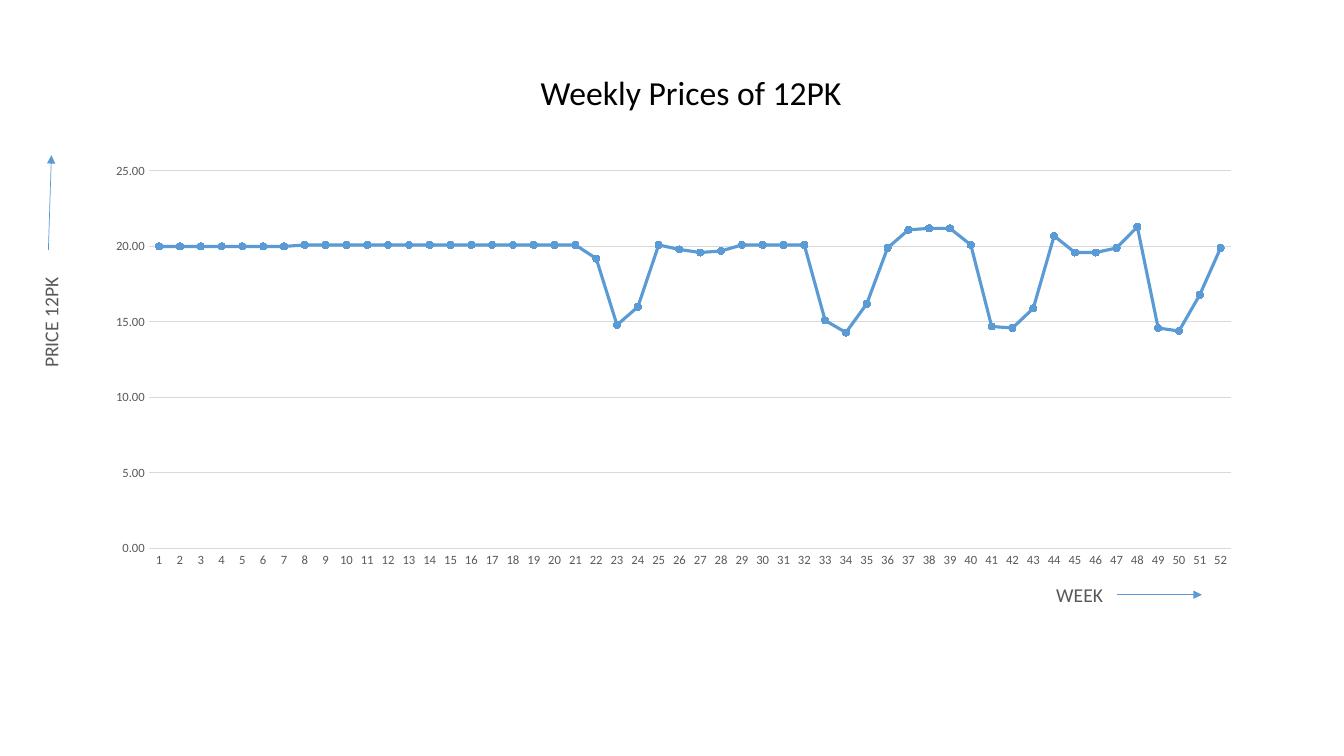
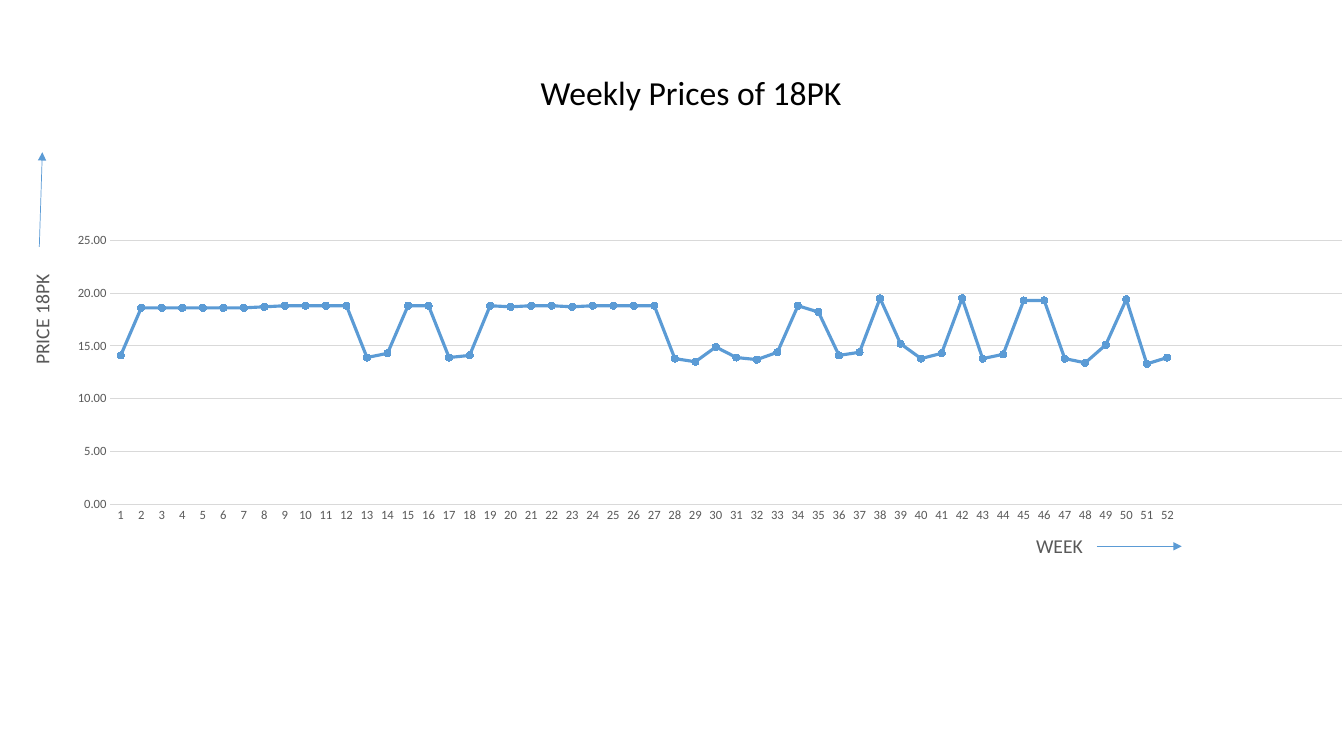
from dataclasses import dataclass

from lxml.etree import SubElement
from pptx import Presentation
from pptx.chart.data import CategoryChartData
from pptx.dml.color import RGBColor
from pptx.enum.chart import XL_CHART_TYPE, XL_MARKER_STYLE, XL_TICK_MARK
from pptx.enum.shapes import MSO_CONNECTOR
from pptx.enum.text import MSO_AUTO_SIZE, PP_ALIGN
from pptx.oxml.ns import qn
from pptx.util import Inches, Pt


@dataclass(frozen=True)
class Theme:
    font: str = "Calibri"
    blue: RGBColor = RGBColor(0x5B, 0x9B, 0xD5)
    black: RGBColor = RGBColor(0, 0, 0)
    gray: RGBColor = RGBColor(0x59, 0x59, 0x59)
    grid: RGBColor = RGBColor(0xD9, 0xD9, 0xD9)
    title_size: int = 24
    label_size: int = 14
    chart_size: int = 10
    tick_size: int = 9
    series_width: float = 2.25
    grid_width: float = 0.75
    arrow_width: float = 0.5


@dataclass(frozen=True)
class PriceSlide:
    pack: str
    prices: list
    chart_box: tuple
    week_at: tuple
    price_at: tuple
    spare_weeks: int = 0


THEME = Theme()
TITLE_BOX = (3.54, 0.66, 6.63, 0.5)

SLIDES = [
    PriceSlide(
        "12PK",
        [20] * 7 + [20.1] * 14
        + [19.2, 14.8, 16, 20.1, 19.8, 19.6, 19.7, 20.1, 20.1, 20.1, 20.1,
           15.1, 14.3, 16.2, 19.9, 21.1, 21.2, 21.2, 20.1, 14.7, 14.6, 15.9,
           20.7, 19.6, 19.6, 19.9, 21.3, 14.6, 14.4, 16.8, 19.9],
        chart_box=(0.92, 1.54, 11.52, 4.17),
        week_at=(10.37, 5.73),
        price_at=(-0.05, 3.03),
    ),
    PriceSlide(
        "18PK",
        [14.1] + [18.6] * 6
        + [18.7, 18.8, 18.8, 18.8, 18.8, 13.9, 14.3, 18.8, 18.8, 13.9, 14.1,
           18.8, 18.7, 18.8, 18.8, 18.7, 18.8, 18.8, 18.8, 18.8, 13.8, 13.5,
           14.9, 13.9, 13.7, 14.4, 18.8, 18.2, 14.1, 14.4, 19.5, 15.2, 13.8,
           14.3, 19.5, 13.8, 14.2, 19.3, 19.3, 13.8, 13.4, 15.1, 19.4, 13.3,
           13.9],
        chart_box=(0.51, 2.25, 13.06, 3),
        week_at=(10.17, 5.25),
        price_at=(-0.14, 3),
        spare_weeks=8,
    ),
]


def style_font(font, size, color):
    font.name = THEME.font
    font.size = Pt(size)
    font.color.rgb = color


def style_line(line, width, color):
    line.width = Pt(width)
    line.color.rgb = color


def add_text(s, box, text, size, color, wrap=True, rotation=0):
    sp = s.shapes.add_textbox(*map(Inches, box))
    sp.rotation = rotation
    tf = sp.text_frame
    tf.word_wrap = wrap
    tf.auto_size = MSO_AUTO_SIZE.SHAPE_TO_FIT_TEXT
    p = tf.paragraphs[0]
    p.alignment = PP_ALIGN.CENTER
    r = p.add_run()
    r.text = text
    style_font(r.font, size, color)


def add_arrow(s, start, end):
    cx = s.shapes.add_connector(MSO_CONNECTOR.STRAIGHT, *map(Inches, start + end))
    style_line(cx.line, THEME.arrow_width, THEME.blue)
    SubElement(cx.line._get_or_add_ln(), qn("a:tailEnd"), type="triangle")
    SubElement(cx._element.spPr, qn("a:effectLst"))


def add_axis_label(s, box, text, tail, head, rotation=0):
    """Axis name with an arrow; tail and head are offsets from the box corner."""
    add_text(s, box, text, THEME.label_size, THEME.gray, wrap=False, rotation=rotation)
    x, y = box[:2]
    add_arrow(s, (x + tail[0], y + tail[1]), (x + head[0], y + head[1]))


def style_axis(axis):
    axis.major_tick_mark = axis.minor_tick_mark = XL_TICK_MARK.NONE
    style_font(axis.tick_labels.font, THEME.tick_size, THEME.gray)


def add_price_chart(s, box, prices, spare_weeks):
    data = CategoryChartData(number_format="0.00")
    data.categories = [str(week + 1) for week in range(len(prices))] + [""] * spare_weeks
    data.add_series("Series 1", prices + [None] * spare_weeks)
    chart = s.shapes.add_chart(
        XL_CHART_TYPE.LINE_MARKERS, *map(Inches, box), data).chart
    chart.has_title = chart.has_legend = False
    style_font(chart.font, THEME.chart_size, THEME.black)

    weeks, values = chart.category_axis, chart.value_axis
    style_axis(weeks)
    style_line(weeks.format.line, THEME.grid_width, THEME.grid)
    style_axis(values)
    values.format.line.fill.background()
    values.minimum_scale, values.maximum_scale, values.major_unit = 0, 25, 5
    values.tick_labels.number_format = "0.00"
    values.tick_labels.number_format_is_linked = False
    style_line(values.major_gridlines.format.line, THEME.grid_width, THEME.grid)

    plot = chart.plots[0]
    plot.vary_by_categories = False
    series = plot.series[0]
    series.smooth = False
    style_line(series.format.line, THEME.series_width, THEME.blue)
    marker = series.marker
    marker.style = XL_MARKER_STYLE.CIRCLE
    marker.size = 5
    marker.format.fill.solid()
    marker.format.fill.fore_color.rgb = THEME.blue
    marker.format.line.color.rgb = THEME.blue


def add_price_slide(prs, page):
    s = prs.slides.add_slide(prs.slide_layouts[6])
    add_price_chart(s, page.chart_box, page.prices, page.spare_weeks)
    add_text(s, TITLE_BOX, f"Weekly Prices of {page.pack}",
             THEME.title_size, THEME.black)
    add_axis_label(s, page.week_at + (0.72, 0.34), "WEEK ",
                   tail=(0.71, 0.17), head=(1.55, 0.17))
    add_axis_label(s, page.price_at + (1.11, 0.34), f"PRICE {page.pack}",
                   tail=(0.53, -0.55), head=(0.56, -1.49), rotation=270)


def main():
    prs = Presentation()
    prs.slide_width, prs.slide_height = Inches(13.33), Inches(7.5)
    for page in SLIDES:
        add_price_slide(prs, page)
    prs.save("out.pptx")


if __name__ == "__main__":
    main()
